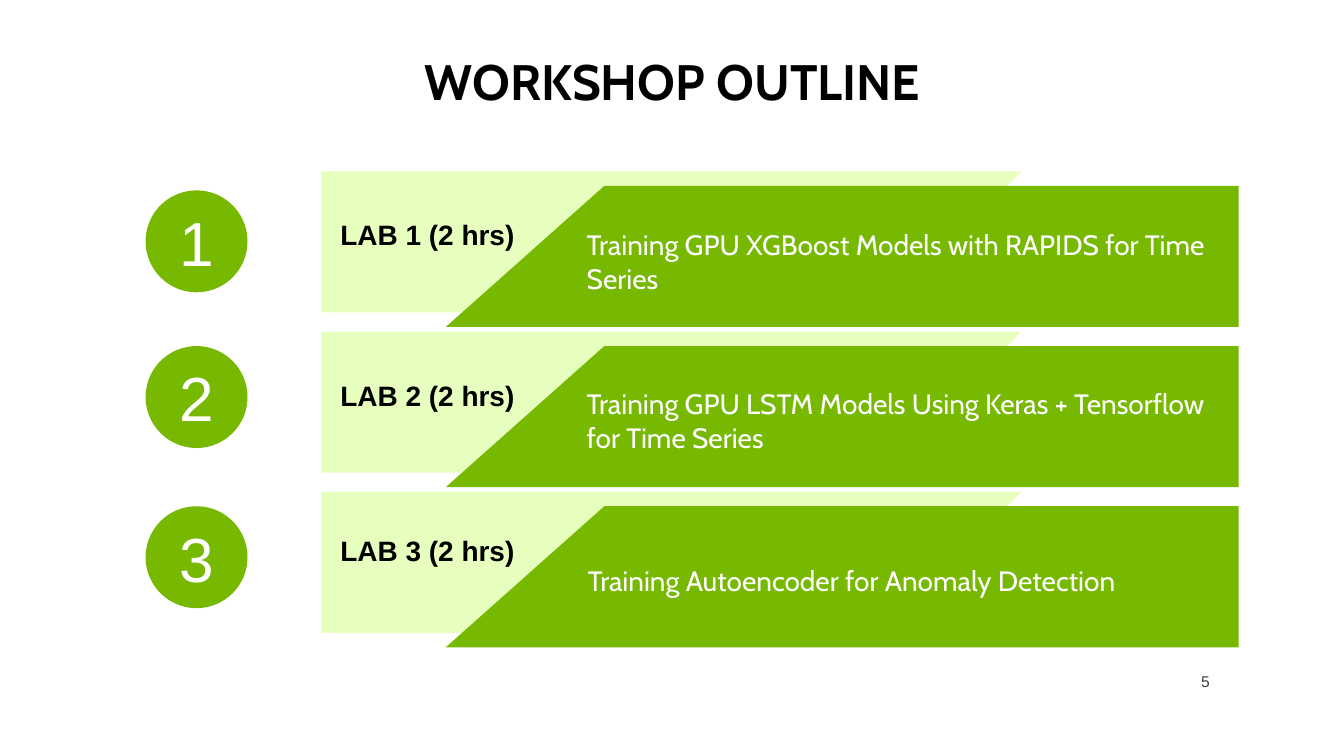
from pptx import Presentation
from pptx.dml.color import RGBColor
from pptx.enum import shapes, text
from pptx.util import Inches, Pt

GREEN = RGBColor(0x76, 0xB9, 0x00)
PALE_GREEN = RGBColor(0xE7, 0xFF, 0xBE)
BLACK = RGBColor(0, 0, 0)
WHITE = RGBColor(0xFF, 0xFF, 0xFF)
GRAY = RGBColor(0x40, 0x40, 0x40)

TITLE = "WORKSHOP OUTLINE"
PAGE_NUMBER = "5"
# label, label top, description, (left, top, height) of description, circle top
LABS = [
    ("LAB 1 (2 hrs)", 1.93, "Training GPU XGBoost Models with RAPIDS for Time Series",
     (5.14, 1.98, 0.71), 1.7),
    ("LAB 2 (2 hrs)", 3.36, "Training GPU LSTM Models Using Keras + Tensorflow for Time Series",
     (5.14, 3.4, 0.71), 3.09),
    ("LAB 3 (2 hrs)", 4.75, "Training Autoencoder for Anomaly Detection",
     (5.15, 4.98, 0.4), 4.52),
]
ROW_PITCH = 1.43
BAND_HEIGHT = 1.26
# left, top of the first row, length, rotation, colour
BANDS = [(2.87, 1.53, 6.25, 90, PALE_GREEN), (3.98, 1.66, 7.08, 270, GREEN)]
CIRCLE_LEFT, CIRCLE_SIZE = 1.3, 0.91


def write(shape, content, size, color, font="Arial", bold=False,
          align=text.PP_ALIGN.LEFT, anchor=text.MSO_ANCHOR.MIDDLE, spacing=None):
    frame = shape.text_frame
    frame.word_wrap = True
    frame.vertical_anchor = anchor
    paragraph = frame.paragraphs[0]
    paragraph.text = content
    paragraph.alignment = align
    paragraph.line_spacing = spacing
    paragraph.font.size = Pt(size)
    paragraph.font.name = font
    paragraph.font.bold = bold
    paragraph.font.color.rgb = color


def add_text(slide, left, top, width, height, content, size, color, **style):
    box = slide.shapes.add_textbox(Inches(left), Inches(top), Inches(width), Inches(height))
    write(box, content, size, color, **style)


def add_filled(slide, kind, left, top, width, height, color):
    shape = slide.shapes.add_shape(kind, Inches(left), Inches(top),
                                   Inches(width), Inches(height))
    shape.shadow.inherit = False
    shape.fill.solid()
    shape.fill.fore_color.rgb = color
    shape.line.fill.background()
    return shape


def add_band(slide, left, top, length, rotation, color):
    """Lay a mirrored, upright manual-input shape on its side about its centre."""
    shift = (length - BAND_HEIGHT) / 2
    band = add_filled(slide, shapes.MSO_SHAPE.FLOWCHART_MANUAL_INPUT,
                      left + shift, top - shift, BAND_HEIGHT, length, color)
    band.rotation = rotation
    band._element.spPr.xfrm.set("flipH", "1")


def main():
    presentation = Presentation()
    presentation.slide_width = Inches(12)
    presentation.slide_height = Inches(6.75)
    slide = presentation.slides.add_slide(presentation.slide_layouts[6])

    add_text(slide, 0.55, 0.39, 10.91, 0.65, TITLE, 32, BLACK, font="Cabin", bold=True,
             align=text.PP_ALIGN.CENTER, anchor=text.MSO_ANCHOR.BOTTOM, spacing=0.9)

    for row, (label, label_top, description, place, _) in enumerate(LABS):
        for left, top, length, rotation, color in BANDS:
            add_band(slide, left, top + row * ROW_PITCH, length, rotation, color)
        add_text(slide, 2.94, label_top, 2.17, 0.37, label, 18, BLACK,
                 bold=True, spacing=0.9)
        left, top, height = place
        add_text(slide, left, top, 5.95, height, description, 18, WHITE, font="Cabin")

    for number, (*_, circle_top) in enumerate(LABS, start=1):
        circle = add_filled(slide, shapes.MSO_SHAPE.OVAL, CIRCLE_LEFT, circle_top,
                            CIRCLE_SIZE, CIRCLE_SIZE, GREEN)
        write(circle, str(number), 40, WHITE, align=text.PP_ALIGN.CENTER)

    add_text(slide, 8.2, 5.9, 2.7, 0.36, PAGE_NUMBER, 10, GRAY, align=text.PP_ALIGN.RIGHT)
    presentation.save("out.pptx")


if __name__ == "__main__":
    main()
